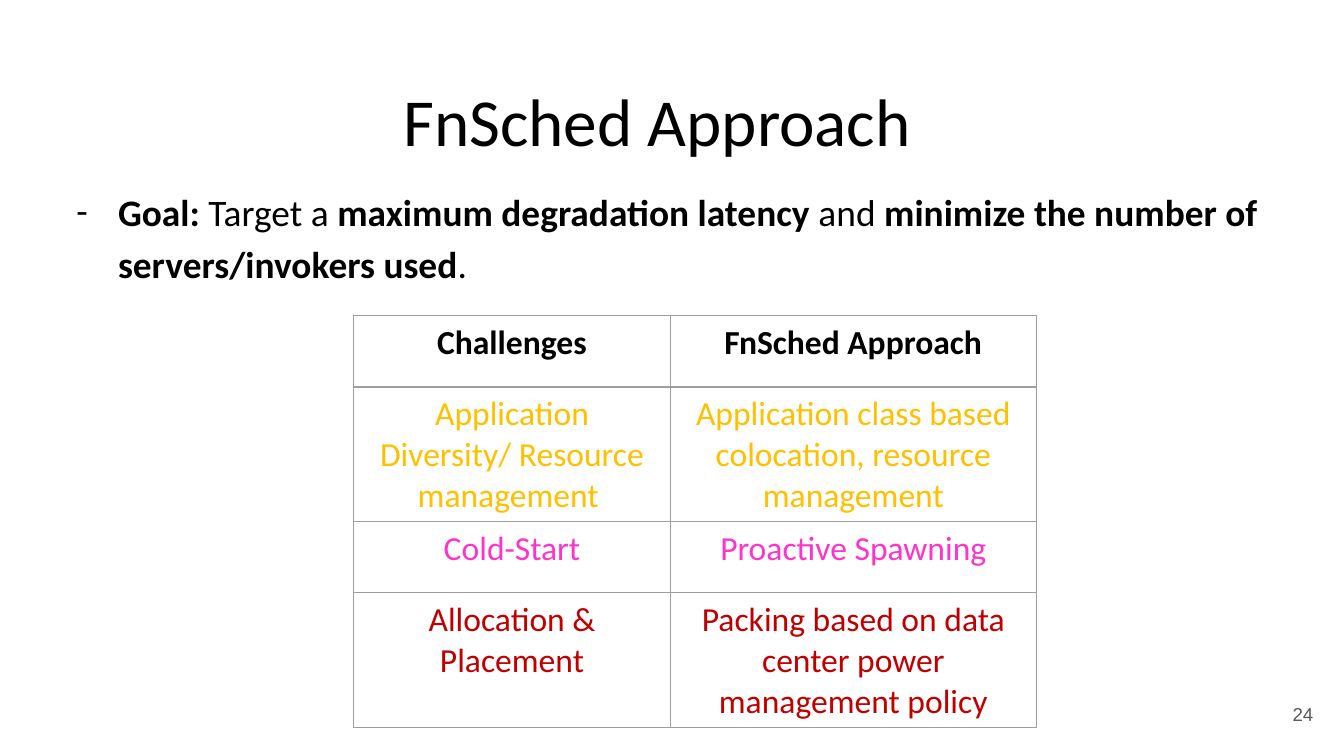
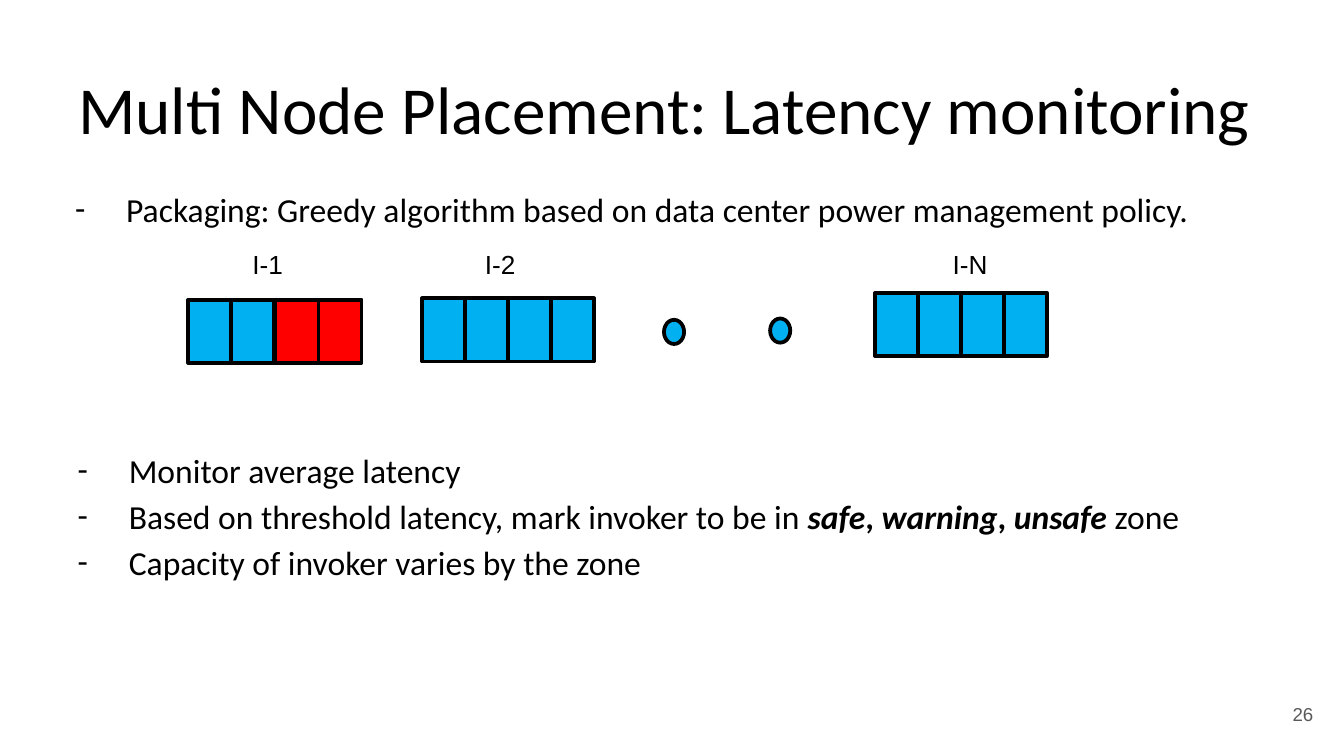
from lxml import etree
from pptx import Presentation
from pptx import util as u
from pptx.dml.color import RGBColor
from pptx.enum import shapes, text
from pptx.oxml import ns

BLACK, GREY, BORDER = "000000", "595959", "9E9E9E"
BLUE, RED = "00B0F0", "FF0000"
AMBER, PINK, DARK_RED = "FFC000", "FF33CC", "C00000"
CENTER, RIGHT = text.PP_ALIGN.CENTER, text.PP_ALIGN.RIGHT


def rgb(value):
    return RGBColor.from_string(value)


def sub(parent, tag, **attrs):
    return etree.SubElement(parent, ns.qn(tag), attrs)


class Deck:
    """Holds the shared style and the slide being built."""

    def __init__(self):
        self.prs = Presentation()
        self.prs.slide_width = u.Inches(10)
        self.prs.slide_height = u.Inches(10 * 9 / 16)
        self.slide = None

    def font(self, run, size, color=BLACK, name="Calibri", bold=False, italic=False):
        run.font.size, run.font.name = u.Pt(size), name
        run.font.color.rgb = rgb(color)
        run.font.bold, run.font.italic = bold, italic

    def insets(self, frame, size=0.1):
        frame.margin_left = frame.margin_right = u.Inches(size)
        frame.margin_top = frame.margin_bottom = u.Inches(size)

    def start(self, title, top, number):
        self.slide = self.prs.slides.add_slide(self.prs.slide_layouts[5])
        heading = self.slide.shapes.title
        heading.left, heading.top = u.Inches(0.34), u.Inches(top)
        heading.width, heading.height = u.Inches(9.32), u.Inches(0.63)
        frame = heading.text_frame
        frame.text = title
        frame.word_wrap = True
        frame.auto_size = text.MSO_AUTO_SIZE.NONE
        frame.vertical_anchor = text.MSO_ANCHOR.TOP
        self.insets(frame)
        frame.paragraphs[0].alignment = CENTER
        self.font(frame.paragraphs[0].runs[0], 36)
        self.page_number(number)

    def box(self, left, top, width, height, wrap=True):
        frame = self.slide.shapes.add_textbox(
            u.Inches(left), u.Inches(top), u.Inches(width), u.Inches(height)).text_frame
        frame.word_wrap = wrap
        return frame

    def page_number(self, number):
        frame = self.box(9.27, 5.1, 0.6, 0.43)
        self.insets(frame)
        frame.vertical_anchor = text.MSO_ANCHOR.MIDDLE
        frame.text = str(number)
        frame.paragraphs[0].alignment = RIGHT
        self.font(frame.paragraphs[0].runs[0], 10, GREY, "Arial")

    def bullets(self, left, top, width, height, items, size=18, indent=0.5, hang=0.38):
        """Each item is a list of (words, style), style being any of "b" and "i"."""
        frame = self.box(left, top, width, height)
        self.insets(frame)
        for index, item in enumerate(items):
            line = frame.add_paragraph() if index else frame.paragraphs[0]
            line.line_spacing = 1.15
            props = line._p.get_or_add_pPr()
            props.set("marL", str(u.Inches(indent)))
            props.set("indent", str(-u.Inches(hang)))
            sub(sub(props, "a:buClr"), "a:srgbClr", val=BLACK)
            sub(props, "a:buFont", typeface="Calibri")
            sub(props, "a:buChar", char="-")
            for words, style in item:
                run = line.add_run()
                run.text = words
                self.font(run, size, bold="b" in style, italic="i" in style)

    def label(self, left, top, width, words):
        frame = self.box(left, top, width, 0.34, wrap=False)
        frame.auto_size = text.MSO_AUTO_SIZE.SHAPE_TO_FIT_TEXT
        frame.text = words
        self.font(frame.paragraphs[0].runs[0], 14, name="Arial")

    def shape(self, kind, left, top, width, height, fill):
        item = self.slide.shapes.add_shape(
            kind, u.Inches(left), u.Inches(top), u.Inches(width), u.Inches(height))
        item.shadow.inherit = False
        item.fill.solid()
        item.fill.fore_color.rgb = rgb(fill)
        item.line.color.rgb = rgb(BLACK)
        item.line.width = u.Pt(2)

    def slots(self, left, top, count, fill):
        width = 0.32
        for index in range(count):
            self.shape(shapes.MSO_SHAPE.RECTANGLE, left + index * width, top, width, 0.47, fill)

    def cell_border(self, cell):
        props = cell._tc.get_or_add_tcPr()
        for index, side in enumerate(("a:lnL", "a:lnR", "a:lnT", "a:lnB")):
            edge = sub(props, side, w=str(u.Pt(0.75)))
            sub(sub(edge, "a:solidFill"), "a:srgbClr", val=BORDER)
            props.insert(index, edge)

    def table(self, left, top, widths, heights, rows):
        """Each row is (color, bold, cell texts)."""
        grid = self.slide.shapes.add_table(
            len(rows), len(widths), u.Inches(left), u.Inches(top),
            u.Inches(sum(widths)), u.Inches(sum(heights))).table
        grid.first_row = grid.horz_banding = False
        for column, width in zip(grid.columns, widths):
            column.width = u.Inches(width)
        for row, height, (color, bold, words) in zip(grid.rows, heights, rows):
            row.height = u.Inches(height)
            for cell, entry in zip(row.cells, words):
                cell.fill.background()
                self.cell_border(cell)
                cell.text_frame.text = entry
                line = cell.text_frame.paragraphs[0]
                line.alignment = CENTER
                self.font(line.runs[0], 18, color, bold=bold)


deck = Deck()

# Slide 1: goal, and challenges matched with the approach
deck.start("FnSched Approach\t", 0.49, 24)
deck.bullets(0.34, 1.26, 9.66, 2.36, [[
    ("Goal:", "b"), (" Target a ", ""), ("maximum degradation latency ", "b"),
    ("and ", ""), ("minimize the number of servers/invokers used", "b"), (".", ""),
]], size=20, indent=0.44, hang=0.31)
deck.table(2.63, 2.35, [2.36, 2.72], [0.53, 0.91, 0.53, 0.91], [
    (BLACK, True, ["Challenges", "FnSched Approach"]),
    (AMBER, False, ["Application Diversity/ Resource management ",
                    "Application class based colocation, resource management"]),
    (PINK, False, ["Cold-Start", "Proactive Spawning"]),
    (DARK_RED, False, ["Allocation & Placement",
                       "Packing based on data center power management policy"]),
])

# Slide 2: placement over invokers, and latency zones
deck.start("Multi Node Placement: Latency monitoring ", 0.4, 26)
deck.bullets(0.34, 1.26, 9.32, 0.63, [[
    ("Packaging: Greedy algorithm based on data center power management policy. ", "")]])
deck.bullets(0.36, 3.2, 9.32, 0.63, [
    [("Monitor average latency", "")],
    [("Based on threshold latency, mark invoker to be in ", ""), ("safe", "bi"), (", ", "b"),
     ("warning", "bi"), (", ", "b"), ("unsafe", "bi"), (" zone", "")],
    [("Capacity of invoker varies by the zone", "")],
])

# Invokers with their slots, the last two of the first one in red
deck.slots(1.4, 2.23, 3, BLUE)
deck.slots(2.05, 2.23, 2, RED)
deck.slots(3.14, 2.22, 4, BLUE)
deck.slots(6.51, 2.18, 4, BLUE)
for name, left, width in (("I-1", 1.78, 0.43), ("I-2", 3.51, 0.43), ("I-N", 6.99, 0.46)):
    deck.label(left, 1.8, width, name)

# Dots for the invokers in between
for left, top in ((4.94, 2.38), (5.73, 2.37)):
    deck.shape(shapes.MSO_SHAPE.OVAL, left, top, 0.15, 0.18, BLUE)

deck.prs.save("out.pptx")
